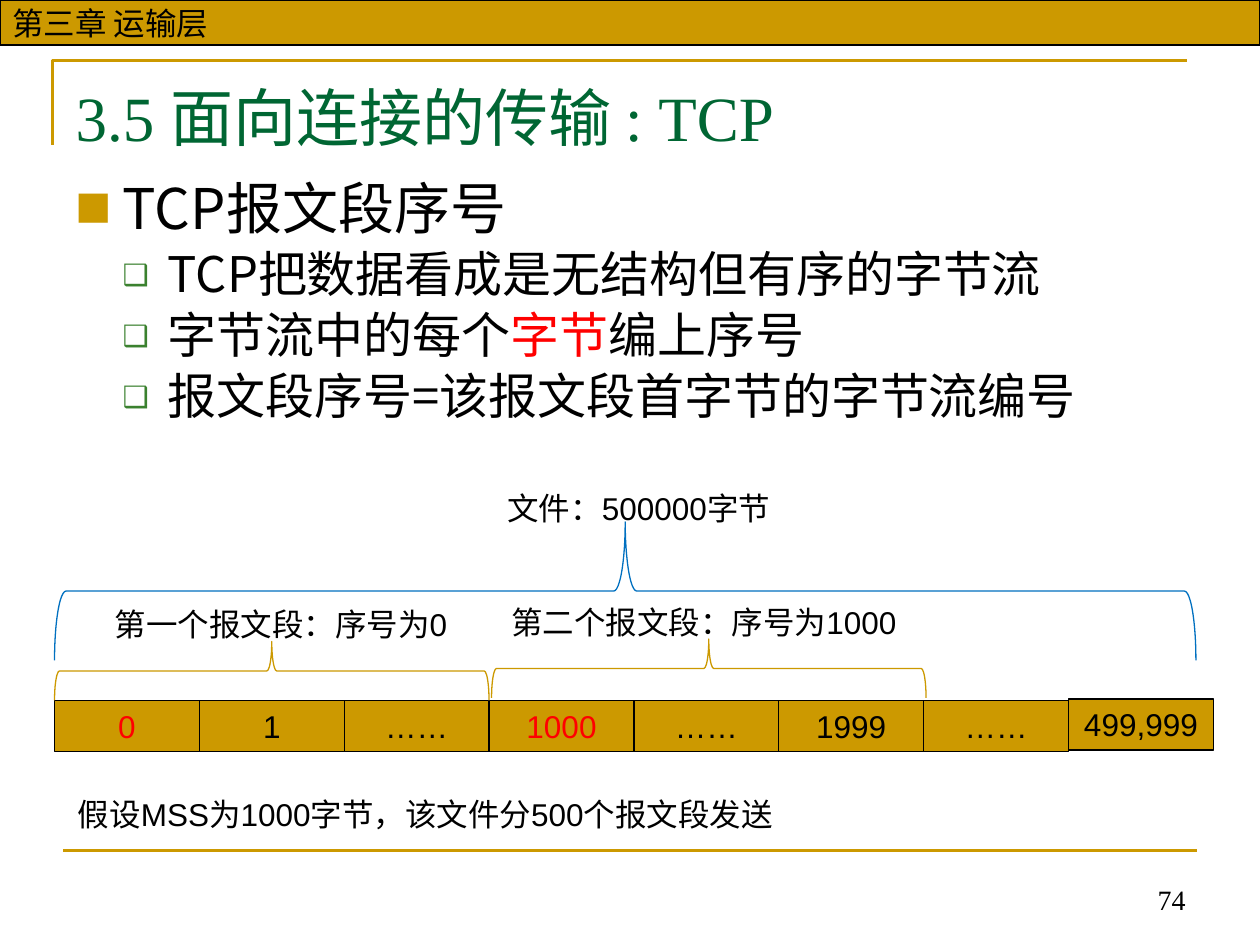
from dataclasses import dataclass

from lxml.etree import SubElement
from pptx import Presentation
from pptx.dml.color import RGBColor
from pptx.enum.shapes import MSO_CONNECTOR, MSO_SHAPE
from pptx.enum.text import MSO_ANCHOR, MSO_AUTO_SIZE, PP_ALIGN
from pptx.oxml.ns import qn
from pptx.util import Cm, Pt

GOLD, BLACK, RED, BLUE = "CC9900", "000000", "FF0000", "0070C0"
GREEN, LEAF = "006633", "3B812F"
SANS, SERIF, HAN = "Arial", "Times New Roman", "Noto Sans CJK SC"


@dataclass
class Box:
    left: float
    top: float
    width: float
    height: float

    def place(self) -> tuple:
        return tuple(Cm(v) for v in (self.left, self.top, self.width, self.height))


@dataclass
class Label:
    text: str
    box: Box


@dataclass
class Cell:
    text: str
    color: str = BLACK
    rise: float = 0


@dataclass
class Brace:
    box: Box
    color: str


@dataclass
class Point:
    runs: list
    size: int
    level: int
    mark: str
    tint: str
    scale: int
    margin: float
    hang: float
    before: int


def tone(code: str) -> RGBColor:
    return RGBColor.from_string(code)


def apply(item, values: dict) -> None:
    for name, value in values.items():
        setattr(item, name, value)


def style(font, size: int, face: str = SANS, color: str = BLACK) -> None:
    apply(font, {"size": Pt(size), "name": face, "bold": False})
    font.color.rgb = tone(color)


def stroke(line, color: str, width: float) -> None:
    line.color.rgb = tone(color)
    line.width = Pt(width)


def write(shape, text: str, size: int = 18, face: str = SANS, color: str = BLACK,
          align=PP_ALIGN.LEFT, anchor=MSO_ANCHOR.TOP, wrap: bool = False) -> None:
    frame = shape.text_frame
    apply(frame, {"word_wrap": wrap, "vertical_anchor": anchor,
                  "auto_size": MSO_AUTO_SIZE.NONE})
    line = frame.paragraphs[0]
    line.alignment = align
    run = line.add_run()
    run.text = text
    style(run.font, size, face, color)


def draw_bar(slide, box: Box):
    bar = slide.shapes.add_shape(MSO_SHAPE.RECTANGLE, *box.place())
    bar.shadow.inherit = False
    bar.fill.solid()
    bar.fill.fore_color.rgb = tone(GOLD)
    stroke(bar.line, BLACK, 0.75)
    return bar


def draw_brace(slide, brace: Brace) -> None:
    box = brace.box
    shift = (box.width - box.height) / 2
    frame = Box(box.left + shift, box.top - shift, box.height, box.width)
    shape = slide.shapes.add_shape(MSO_SHAPE.RIGHT_BRACE, *frame.place())
    shape.rotation = 270
    shape.shadow.inherit = False
    shape.fill.background()
    stroke(shape.line, brace.color, 0.75)


def draw_point(line, point: Point) -> None:
    apply(line, {"level": point.level, "alignment": PP_ALIGN.LEFT,
                 "space_before": Pt(point.before), "line_spacing": 0.83})
    props = line._p.get_or_add_pPr()
    props.set("marL", str(Cm(point.margin)))
    props.set("indent", str(-Cm(point.hang)))
    tint = SubElement(props, qn("a:buClr"))
    SubElement(tint, qn("a:srgbClr"), val=point.tint)
    SubElement(props, qn("a:buSzPct"), val=str(point.scale * 1000))
    SubElement(props, qn("a:buFont"), typeface=HAN)
    SubElement(props, qn("a:buChar"), char=point.mark)
    for text, color in point.runs:
        run = line.add_run()
        run.text = text
        style(run.font, point.size, HAN, color)


def draw_frame(slide) -> None:
    path = slide.shapes.build_freeform(Cm(1.06), Cm(2.92), scale=1.0)
    path.add_line_segments([(Cm(1.06), Cm(1.22)), (Cm(23.92), Cm(1.22))], close=False)
    edge = path.convert_to_shape()
    edge.shadow.inherit = False
    edge.fill.background()
    stroke(edge.line, GOLD, 1.5)
    rule = slide.shapes.add_connector(
        MSO_CONNECTOR.STRAIGHT, Cm(1.27), Cm(17.15), Cm(24.13), Cm(17.15))
    stroke(rule.line, GOLD, 1.5)
    SubElement(rule._element.spPr, qn("a:effectLst"))
    head = draw_bar(slide, Box(0, 0, 25.4, 0.91))
    write(head, "第三章 运输层", anchor=MSO_ANCHOR.MIDDLE)


def fill_holders(slide) -> None:
    title, body = slide.placeholders
    for holder, box in ((title, Box(1.27, 1.37, 22.86, 1.96)),
                        (body, Box(1.27, 3.6, 22.86, 13.2))):
        left, top, width, height = box.place()
        apply(holder, {"left": left, "top": top, "width": width, "height": height})
    write(title, "3.5 面向连接的传输 : TCP", 36, SERIF, GREEN,
          anchor=MSO_ANCHOR.MIDDLE, wrap=True)
    apply(body.text_frame, {"word_wrap": True, "auto_size": MSO_AUTO_SIZE.NONE})
    points = [Point([("TCP报文段序号", BLACK)], 32, 0, "■", GOLD, 65, 0.95, 0.95, 0)]
    for runs in (
        [("TCP把数据看成是无结构但有序的字节流", BLACK)],
        [("字节流中的每个", BLACK), ("字节", RED), ("编上序号", BLACK)],
        [("报文段序号=该报文段首字节的字节流编号", BLACK)],
    ):
        points.append(Point(runs, 28, 1, "❑", LEAF, 60, 1.86, 0.91, 7))
    frame = body.text_frame
    for index, point in enumerate(points):
        draw_point(frame.add_paragraph() if index else frame.paragraphs[0], point)


def draw_stream(slide) -> None:
    left, top, width = 1.1, 14.12, 2.92
    cells = [Cell("0", RED), Cell("1"), Cell("……"), Cell("1000", RED),
             Cell("……"), Cell("1999"), Cell("……"), Cell("499,999", rise=0.03)]
    for index, cell in enumerate(cells):
        bar = draw_bar(slide, Box(left + index * width, top - cell.rise, width, 1.03))
        write(bar, cell.text, color=cell.color, align=PP_ALIGN.CENTER, wrap=True)
    for brace in (Brace(Box(left, 12.93, 3 * width, 1.19), GOLD),
                  Brace(Box(9.91, 12.88, 3 * width, 1.19), GOLD),
                  Brace(Box(left, 10.52, 23.01, 2.79), BLUE)):
        draw_brace(slide, brace)
    for label in (Label("第一个报文段：序号为0", Box(2.06, 12.07, 7.37, 1.03)),
                  Label("第二个报文段：序号为1000", Box(10.06, 12.03, 8.41, 1.03)),
                  Label("文件：500000字节", Box(9.98, 9.73, 6.1, 1.03)),
                  Label("假设MSS为1000字节，该文件分500个报文段发送",
                        Box(1.32, 15.9, 15.42, 1.03))):
        write(slide.shapes.add_textbox(*label.box.place()), label.text)


def main() -> None:
    deck = Presentation()
    apply(deck, {"slide_width": Cm(25.4), "slide_height": Cm(19.05)})
    slide = deck.slides.add_slide(deck.slide_layouts[1])
    draw_frame(slide)
    fill_holders(slide)
    draw_stream(slide)
    page = slide.shapes.add_textbox(*Box(16.1, 17.32, 8.05, 1.27).place())
    write(page, "74", 16, SERIF, align=PP_ALIGN.RIGHT,
          anchor=MSO_ANCHOR.BOTTOM, wrap=True)
    deck.save("out.pptx")


if __name__ == "__main__":
    main()
